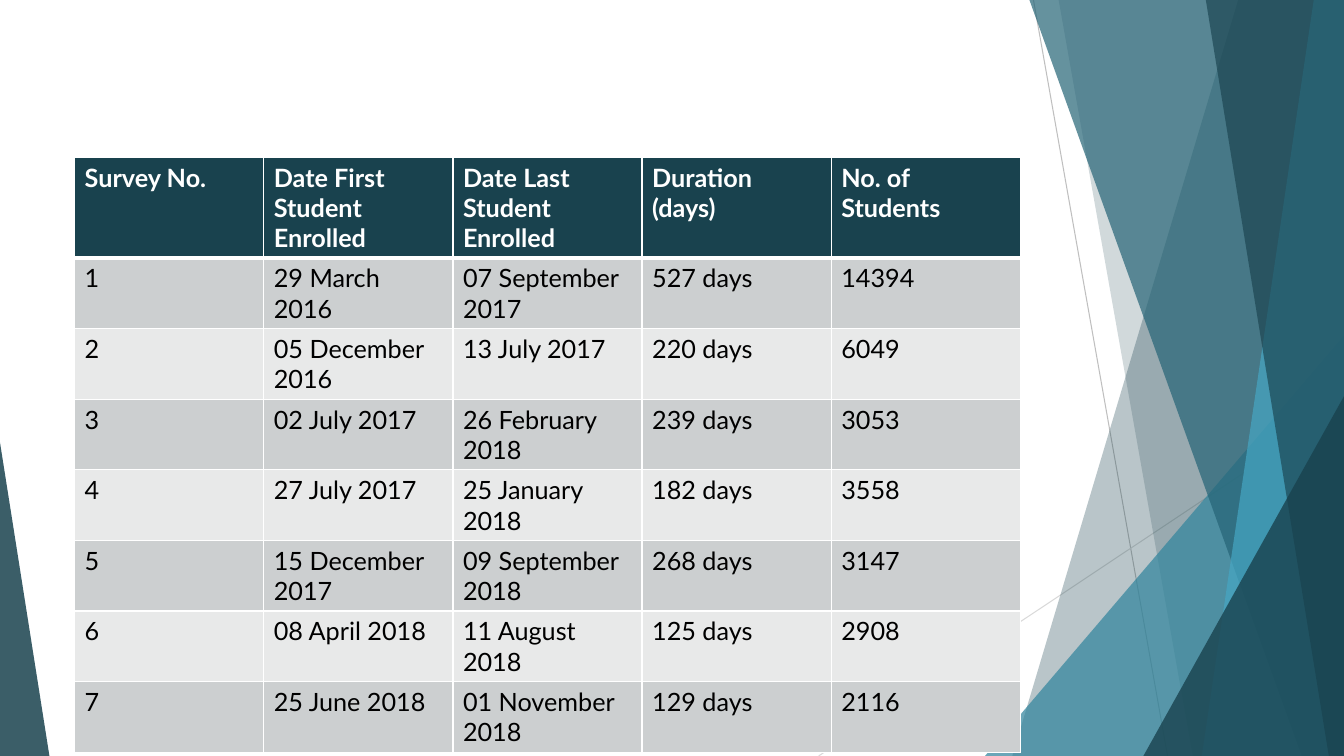
from lxml import etree
from pptx import Presentation
from pptx.dml.color import RGBColor
from pptx.enum.shapes import MSO_CONNECTOR, MSO_SHAPE
from pptx.oxml.ns import qn
from pptx.util import Inches, Pt

TRIANGLE = MSO_SHAPE.ISOSCELES_TRIANGLE
STRAIGHT = MSO_CONNECTOR.STRAIGHT

DARK_TEAL = RGBColor(0x19, 0x42, 0x4E)
MID_TEAL = RGBColor(0x25, 0x64, 0x76)
TEAL = RGBColor(0x32, 0x85, 0x9D)
BRIGHT_TEAL = RGBColor(0x46, 0xA7, 0xC4)
DARK_BAND = RGBColor(0xCC, 0xCF, 0xD0)
LIGHT_BAND = RGBColor(0xE8, 0xE9, 0xE9)
LINE_GRAY = RGBColor(0xBF, 0xBF, 0xBF)
PALE_GRAY = RGBColor(0xD9, 0xD9, 0xD9)
WHITE = RGBColor(0xFF, 0xFF, 0xFF)
BLACK = RGBColor(0x00, 0x00, 0x00)

FONT = "Lato"
SLIDE_WIDTH, SLIDE_HEIGHT = 13.33, 7.5

SURVEYS = [
    ("Survey No.", "Date First Student Enrolled", "Date Last Student Enrolled",
     "Duration (days)", "No. of Students"),
    ("1", "29 March 2016", "07 September 2017", "527 days", "14394"),
    ("2", "05 December 2016", "13 July 2017", "220 days", "6049"),
    ("3", "02 July 2017", "26 February 2018", "239 days", "3053"),
    ("4", "27 July 2017", "25 January 2018", "182 days", "3558"),
    ("5", "15 December 2017", "09 September 2018", "268 days", "3147"),
    ("6", "08 April 2018", "11 August 2018", "125 days", "2908"),
    ("7", "25 June 2018", "01 November 2018", "129 days", "2116"),
]


def paint(shape, color, opacity):
    """Fill a shape with a see-through colour, without line or shadow."""
    shape.shadow.inherit = False
    shape.line.fill.background()
    shape.fill.solid()
    shape.fill.fore_color.rgb = color
    color_element = shape.fill._xPr.find(qn("a:solidFill"))[0]
    etree.SubElement(color_element, qn("a:alpha"), val=str(opacity * 1000))


def add_thin_line(slide, start, end, color):
    line = slide.shapes.add_connector(
        STRAIGHT, *(Inches(value) for value in start + end))
    line.line.color.rgb = color
    line.line.width = Pt(0.75)
    etree.SubElement(line._element.spPr, qn("a:effectLst"))


def add_panel(slide, top_x, bottom_x, right, height, color, opacity):
    """Full-height panel with a slanted left side."""
    builder = slide.shapes.build_freeform(Inches(top_x), 0)
    builder.add_line_segments([
        (Inches(right), 0),
        (Inches(right), Inches(height)),
        (Inches(bottom_x), Inches(height)),
    ])
    paint(builder.convert_to_shape(), color, opacity)


def add_corner(slide, left, bottom, width, height, apex, color, opacity):
    """Right-angled triangle standing on the bottom edge."""
    corner = slide.shapes.add_shape(
        TRIANGLE, Inches(left), Inches(bottom - height), Inches(width), Inches(height))
    corner.adjustments[0] = apex
    paint(corner, color, opacity)


def add_facets(slide, left, width, height):
    """Overlapping facets; offsets are measured from the left of the band."""
    right = left + width

    def panel(top_offset, bottom_offset, color, opacity):
        add_panel(slide, left + top_offset, left + bottom_offset,
                  right, height, color, opacity)

    def right_corner(corner_width, corner_height, color, opacity):
        add_corner(slide, right - corner_width, height,
                   corner_width, corner_height, 1, color, opacity)

    add_thin_line(slide, (left + 0.48, 0), (left + 1.81, height), LINE_GRAY)
    add_thin_line(slide, (right, 4.03), (left - 1.65, height), PALE_GRAY)
    panel(2.51, 0.27, DARK_TEAL, 30)
    panel(0.73, 2.06, DARK_TEAL, 20)
    right_corner(3.56, 4.17, TEAL, 72)
    panel(0.44, 3.14, MID_TEAL, 70)
    panel(3.26, 2.15, BRIGHT_TEAL, 70)
    panel(2.19, 3.41, DARK_TEAL, 65)
    right_corner(1.99, 3.57, DARK_TEAL, 80)


def set_border(cell, side, points):
    border = etree.SubElement(
        cell._tc.get_or_add_tcPr(), qn(f"a:ln{side}"), w=str(Pt(points)))
    fill = etree.SubElement(border, qn("a:solidFill"))
    etree.SubElement(fill, qn("a:srgbClr"), val=str(WHITE))


def format_cell(cell, row_index):
    is_header = row_index == 0
    # Borders, with a thick rule under the header
    for side in "LRTB":
        under_header = (row_index, side) in ((0, "B"), (1, "T"))
        set_border(cell, side, 3 if under_header else 1)
    cell.fill.solid()
    if is_header:
        cell.fill.fore_color.rgb = DARK_TEAL
    else:
        cell.fill.fore_color.rgb = DARK_BAND if row_index % 2 else LIGHT_BAND
    font = cell.text_frame.paragraphs[0].font
    font.name = FONT
    font.size = Pt(18)
    font.bold = is_header
    font.color.rgb = WHITE if is_header else BLACK


def add_survey_table(slide, left, top, width, header_height, row_height):
    row_count, column_count = len(SURVEYS), len(SURVEYS[0])
    height = header_height + row_height * (row_count - 1)
    table = slide.shapes.add_table(
        row_count, column_count,
        Inches(left), Inches(top), Inches(width), Inches(height)).table
    for column in table.columns:
        column.width = Inches(width / column_count)
    for row_index, values in enumerate(SURVEYS):
        row = table.rows[row_index]
        row.height = Inches(row_height if row_index else header_height)
        for cell, value in zip(row.cells, values):
            cell.text = value
            format_cell(cell, row_index)


def main():
    presentation = Presentation()
    presentation.slide_width = Inches(SLIDE_WIDTH)
    presentation.slide_height = Inches(SLIDE_HEIGHT)
    slide = presentation.slides.add_slide(presentation.slide_layouts[6])

    # Decoration on the right and in the lower left corner
    add_facets(slide, 9.77, SLIDE_WIDTH - 9.77, SLIDE_HEIGHT)
    add_corner(slide, 0, SLIDE_HEIGHT, 0.49, 3.11, 0, DARK_TEAL, 85)

    # Survey table
    add_survey_table(slide, 0.74, 1.56, 9.38, 1, 0.7)

    presentation.save("out.pptx")


if __name__ == "__main__":
    main()
